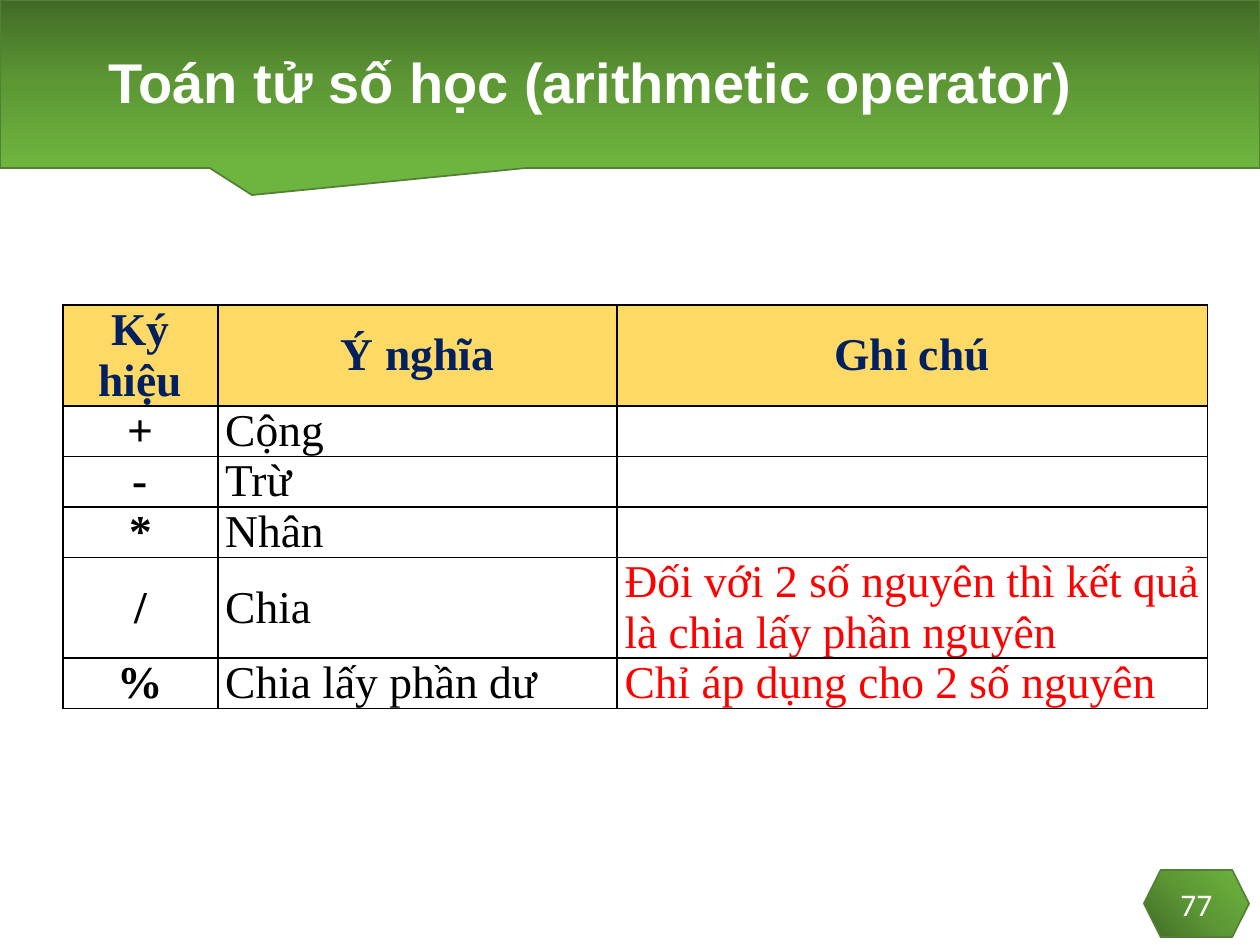
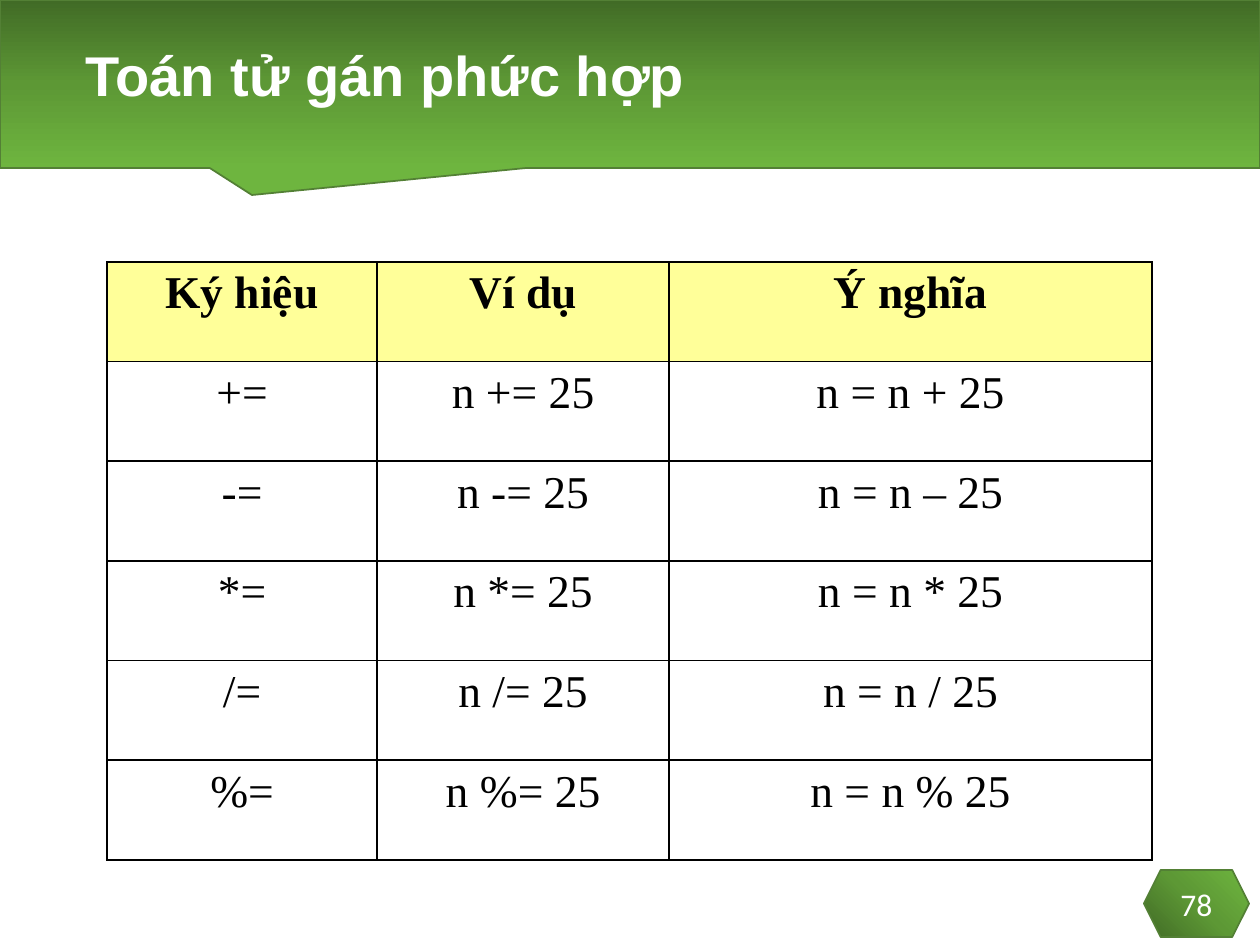
import pptx
import pptx.util
import pptx.oxml
import pptx.oxml.ns
from pptx.dml.color import RGBColor
from pptx.enum.shapes import MSO_SHAPE
from pptx.enum.text import MSO_ANCHOR, MSO_AUTO_SIZE, PP_ALIGN
from pptx.util import Cm

# Colours and fonts
WHITE = RGBColor(0xFF, 0xFF, 0xFF)
BLACK = RGBColor(0x00, 0x00, 0x00)
RED = RGBColor(0xFF, 0x00, 0x00)
NAVY = RGBColor(0x00, 0x20, 0x60)
GOLD = RGBColor(0xFF, 0xD9, 0x66)
PALE_YELLOW = RGBColor(0xFF, 0xFF, 0x99)
OUTLINE_GREEN = RGBColor(0x53, 0x80, 0x35)
GREENS = [(0, RGBColor(0x41, 0x6B, 0x26)), (50, RGBColor(0x5D, 0x98, 0x35)),
          (100, RGBColor(0x6E, 0xB5, 0x3F))]
TITLE_FONT, NUMBER_FONT, TABLE_FONT = "Arial", "Calibri", "Times New Roman"

# Gradient directions
DOWNWARD = '<a:lin ang="5400000" scaled="0"/>'
FROM_BOTTOM_LEFT = '<a:path path="circle"><a:fillToRect t="100000" r="100000"/></a:path>'

# Content: places and lengths in centimetres
CENTRE, JUSTIFY = PP_ALIGN.CENTER, PP_ALIGN.JUSTIFY
TOP, MIDDLE = MSO_ANCHOR.TOP, MSO_ANCHOR.MIDDLE

ARITHMETIC = {
    "title": "Toán tử số học (arithmetic operator)",
    "title_place": (1.93, 0.84, 22.2, 1.75),
    "number": 77,
    "table_place": (1.27, 6.15),
    "columns": [3.12, 8.05, 11.9],
    "heights": [1.42, 0.79, 0.79, 0.79, 1.27, 0.79],
    "margins": (0.15, 0),
    "header_fill": GOLD,
    "header": {"color": NAVY, "bold": True, "align": CENTRE, "anchor": MIDDLE},
    "body": [{"bold": True, "align": CENTRE, "anchor": MIDDLE},
             {"align": JUSTIFY, "anchor": MIDDLE},
             {"color": RED, "align": JUSTIFY}],
    "rows": [
        ("Ký hiệu", "Ý nghĩa", "Ghi chú"),
        ("+", "Cộng", ""),
        ("-", "Trừ", ""),
        ("*", "Nhân", ""),
        ("/", "Chia", "Đối với 2 số nguyên thì kết quả là chia lấy phần nguyên"),
        ("%", "Chia lấy phần dư", "Chỉ áp dụng cho 2 số nguyên"),
    ],
}

ASSIGNMENT = {
    "title": "Toán tử gán phức hợp",
    "title_place": (1.47, 0.2, 22.43, 2.74),
    "number": 78,
    "table_place": (2.16, 5.28),
    "columns": [5.44, 5.89, 9.73],
    "heights": [2.01] * 6,
    "margins": (0.25, 0.13),
    "header_fill": PALE_YELLOW,
    "header": {"bold": True, "align": CENTRE},
    "body": [{"align": CENTRE}] * 3,
    "rows": [("Ký hiệu", "Ví dụ", "Ý nghĩa")] + [
        (f"{sign}=", f"n {sign}= 25", f"n = n {shown} 25")
        for sign, shown in ["++", "-–", "**", "//", "%%"]
    ],
}


def write_text(frame, text, size=26, font=TABLE_FONT, color=BLACK, bold=False,
               align=PP_ALIGN.LEFT, anchor=TOP, spacing=None):
    """Fill a text frame with one formatted paragraph."""
    frame.vertical_anchor = anchor
    para = frame.paragraphs[0]
    para.alignment = align
    para.line_spacing = spacing
    span = para.add_run()
    span.text = text
    span.font.size = pptx.util.Pt(size)
    span.font.name = font
    span.font.bold = bold
    span.font.color.rgb = color


def add_green_shape(page, kind, place, direction):
    shape = page.shapes.add_shape(kind, *map(Cm, place))
    shape.shadow.inherit = False
    shape.line.color.rgb = OUTLINE_GREEN
    shape.line.width = pptx.util.Pt(1)
    # Three gradient stops
    stops = "".join(f'<a:gs pos="{position * 1000}"><a:srgbClr val="{color}"/></a:gs>'
                    for position, color in GREENS)
    gradient = pptx.oxml.parse_xml(
        f'<a:gradFill {pptx.oxml.ns.nsdecls("a")} rotWithShape="1">'
        f'<a:gsLst>{stops}</a:gsLst>{direction}</a:gradFill>')
    shape.fill.gradient()
    properties = shape.element.spPr
    properties.replace(properties.find(pptx.oxml.ns.qn("a:gradFill")), gradient)
    return shape


def add_frame(page, content):
    """Add the band, the title and the page number."""
    title = page.shapes.title
    band = add_green_shape(page, MSO_SHAPE.RECTANGULAR_CALLOUT, (0, 0, 25.4, 3.39), DOWNWARD)
    band.adjustments[0], band.adjustments[1] = -0.3, 0.66
    title.element.addprevious(band.element)

    title.left, title.top, title.width, title.height = map(Cm, content["title_place"])
    title.text_frame.auto_size = MSO_AUTO_SIZE.NONE
    write_text(title.text_frame, content["title"], size=32, font=TITLE_FONT, color=WHITE,
               bold=True, anchor=MIDDLE, spacing=0.9)

    badge = add_green_shape(page, MSO_SHAPE.HEXAGON, (23.06, 17.54, 2.12, 1.35),
                            FROM_BOTTOM_LEFT)
    write_text(badge.text_frame, str(content["number"]), size=18, font=NUMBER_FONT,
               color=WHITE, align=CENTRE, anchor=MIDDLE)


def add_borders(cell):
    properties = cell._tc.get_or_add_tcPr()
    for index, side in enumerate("LRTB"):
        properties.insert(index, pptx.oxml.parse_xml(
            f'<a:ln{side} {pptx.oxml.ns.nsdecls("a")} w="12700"><a:solidFill>'
            f'<a:srgbClr val="{BLACK}"/></a:solidFill></a:ln{side}>'))


def add_operator_table(page, content):
    rows, columns, heights = content["rows"], content["columns"], content["heights"]
    size = (sum(columns), sum(heights))
    table = page.shapes.add_table(len(rows), len(columns),
                                  *map(Cm, content["table_place"] + size)).table
    table.first_row = table.horz_banding = False
    for column, width in zip(table.columns, columns):
        column.width = Cm(width)
    for row, height in zip(table.rows, heights):
        row.height = Cm(height)

    side, edge = map(Cm, content["margins"])
    for r, texts in enumerate(rows):
        for c, text in enumerate(texts):
            cell = table.cell(r, c)
            cell.margin_left = cell.margin_right = side
            cell.margin_top = cell.margin_bottom = edge
            if r == 0:
                cell.fill.solid()
                cell.fill.fore_color.rgb = content["header_fill"]
            else:
                cell.fill.background()
            add_borders(cell)
            if text:
                style = dict(content["body"][c] if r else content["header"])
                cell.vertical_anchor = style.pop("anchor", TOP)
                write_text(cell.text_frame, text, anchor=None, **style)


def main():
    deck = pptx.Presentation()
    deck.slide_width, deck.slide_height = Cm(25.4), Cm(19.05)
    for content in (ARITHMETIC, ASSIGNMENT):
        page = deck.slides.add_slide(deck.slide_layouts[5])
        add_frame(page, content)
        add_operator_table(page, content)
    deck.save("out.pptx")


if __name__ == "__main__":
    main()
